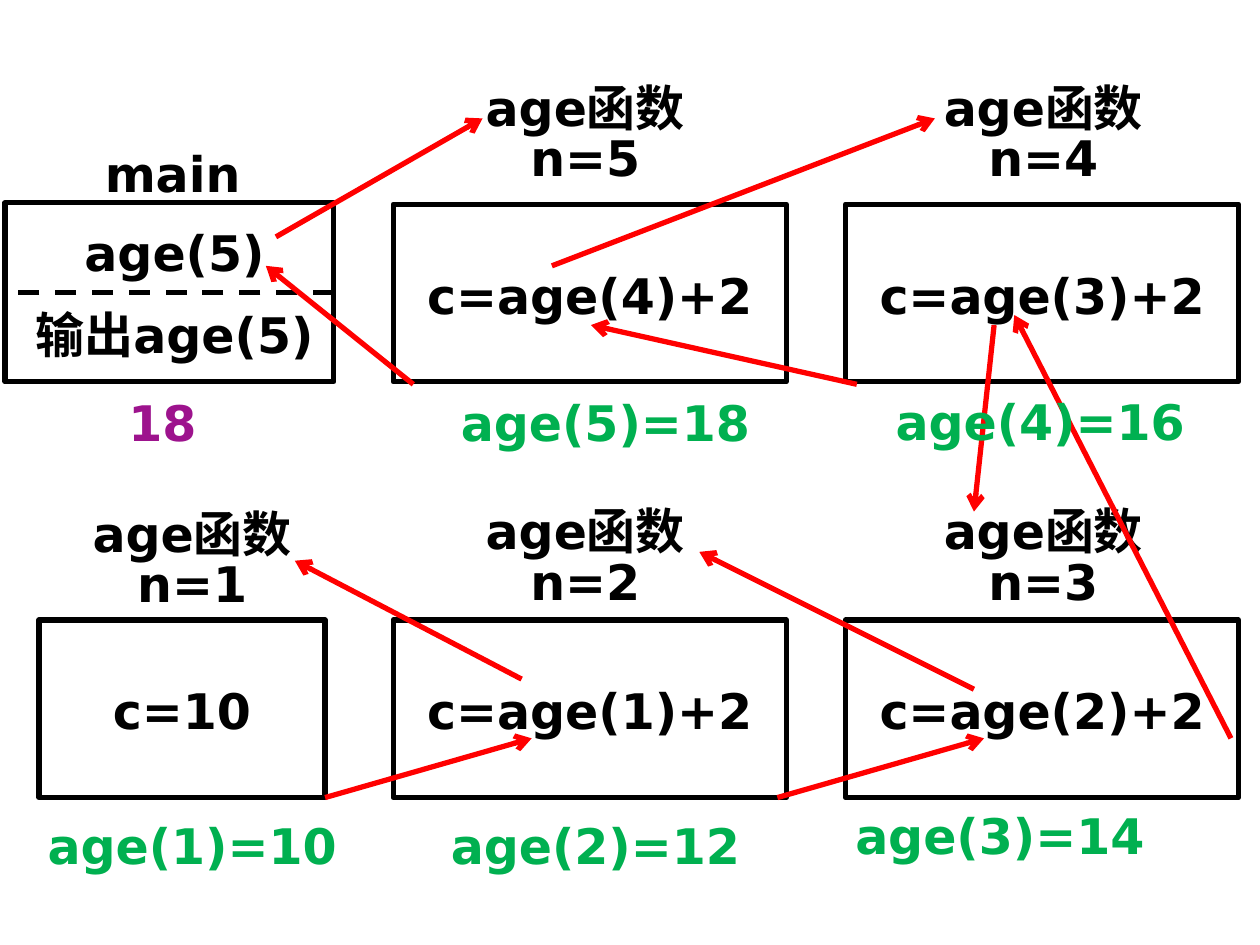
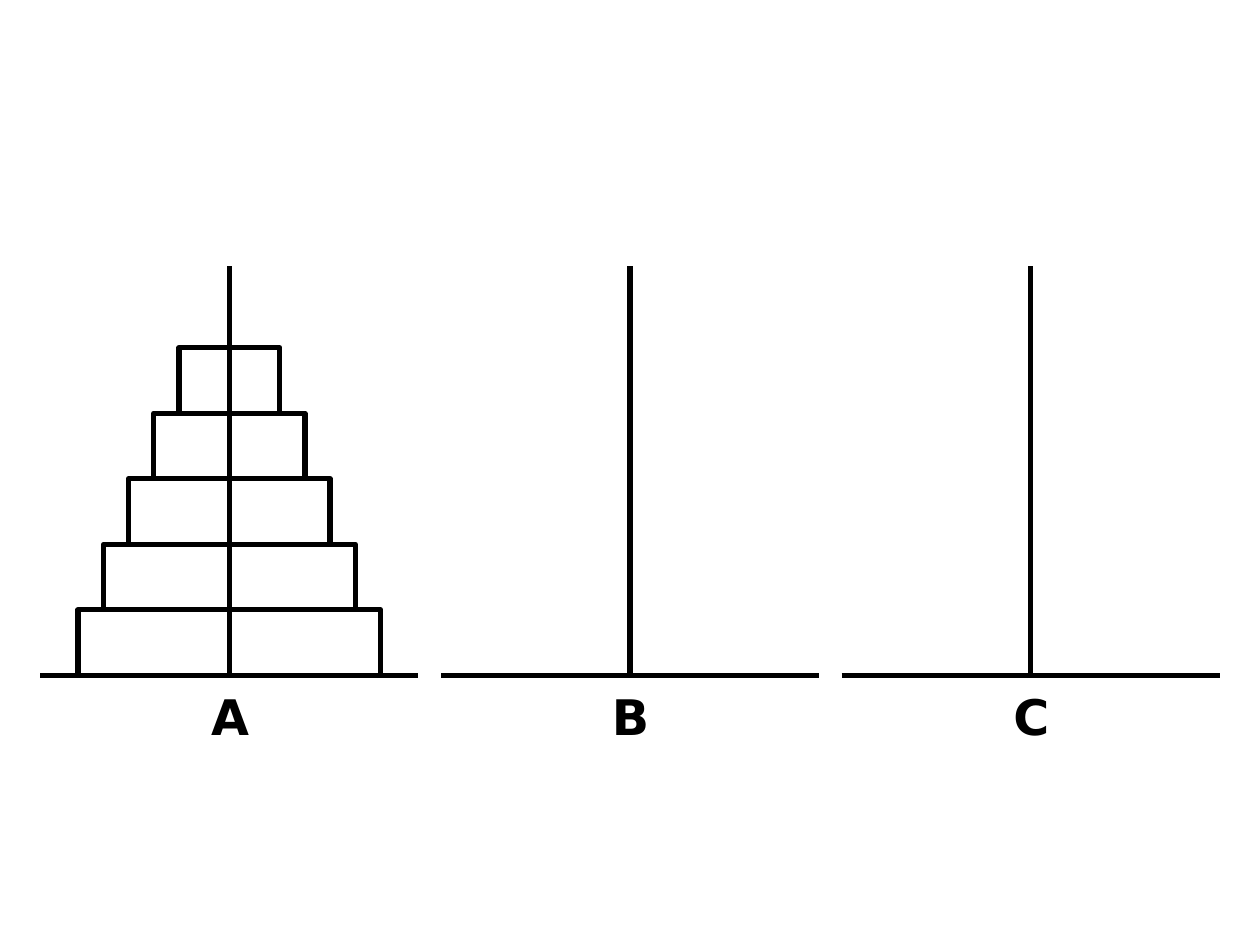
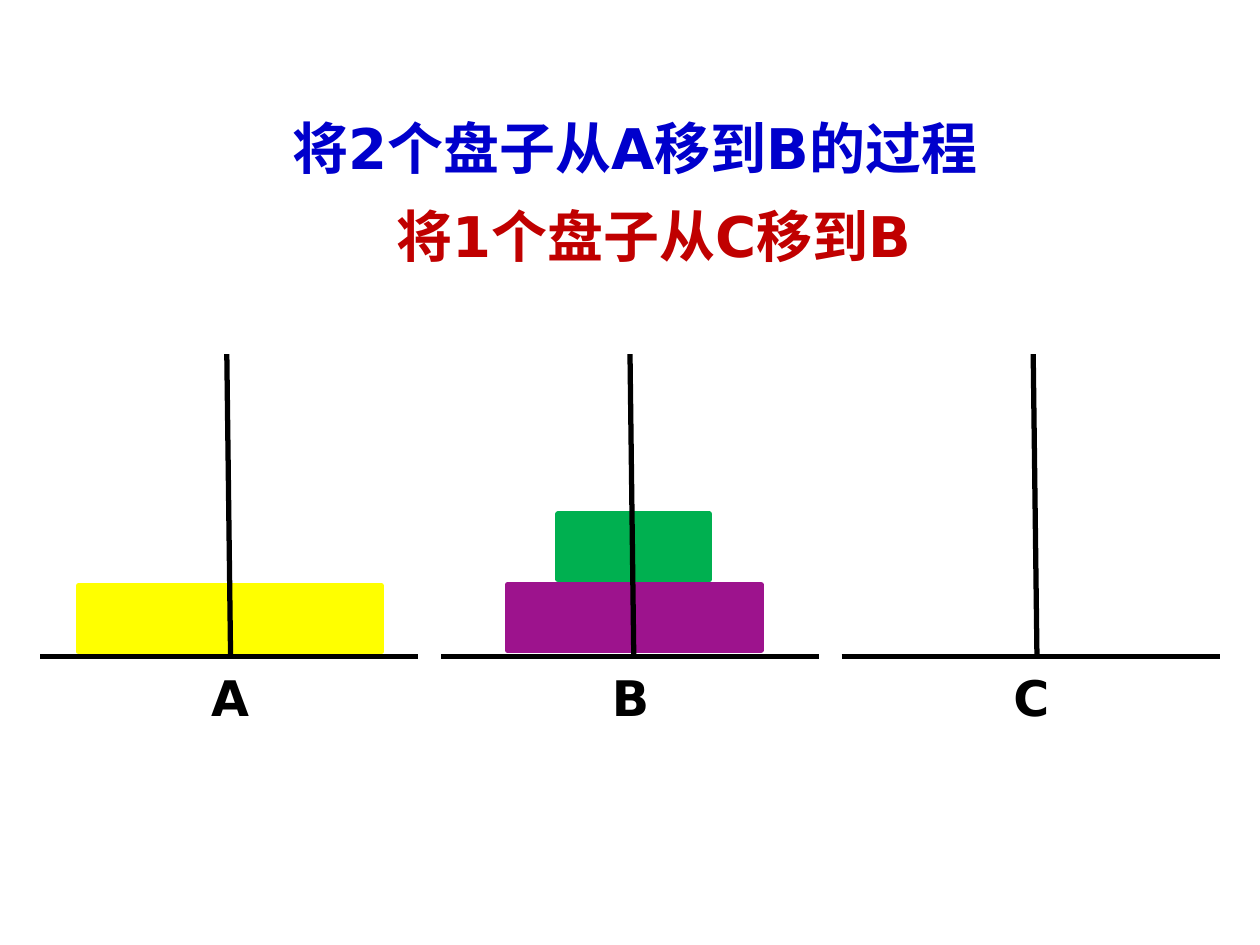
from pptx import Presentation
from pptx.dml.color import RGBColor
from pptx.enum.dml import MSO_LINE
from pptx.enum.shapes import MSO_CONNECTOR, MSO_SHAPE
from pptx.enum.text import MSO_ANCHOR, PP_ALIGN
from pptx.oxml.ns import qn
from pptx.util import Pt
from lxml import etree

RECT = MSO_SHAPE.RECTANGLE
DISC = MSO_SHAPE.FLOWCHART_PROCESS
LINE = MSO_CONNECTOR.STRAIGHT
DASH = MSO_LINE.DASH
TOP = MSO_ANCHOR.TOP
MID = PP_ALIGN.CENTER
BOTTOM, RIGHT = 2, 3
SCALE = 9144
FONT = "DejaVu Sans"
TIGHT = Pt(24)
LOOSE = 1.2
GAPS = {TIGHT: Pt(4.8), LOOSE: Pt(6.5)}
HUES = {
    "black": "000000", "red": "FF0000", "green": "00B050", "plum": "9D138D",
    "gold": "FFFF00", "blue": "0000CC", "brick": "C00000",
}
PEGS = {"A": 182, "B": 500, "C": 818}


def px(size):
    return round(size * SCALE)


def hue(name):
    return RGBColor.from_string(HUES[name])


class Deck:
    def __init__(self):
        self.file = Presentation()
        self.file.slide_width = px(1000)
        self.file.slide_height = px(750)
        self.slide = None

    def page(self):
        self.slide = self.file.slides.add_slide(self.file.slide_layouts[6])

    def label(self, shape, lines, color="black", size=28, lead=TIGHT, top=5):
        frame = shape.text_frame
        frame.word_wrap = True
        frame.vertical_anchor = TOP
        frame.margin_left = frame.margin_right = px(10)
        frame.margin_top, frame.margin_bottom = px(top), px(5)
        for i, line in enumerate(lines):
            para = frame.add_paragraph() if i else frame.paragraphs[0]
            para.alignment = MID
            para.line_spacing = lead
            para.space_before = GAPS[lead]
            run = para.add_run()
            run.text = line
            run.font.name = FONT
            run.font.size = Pt(size)
            run.font.bold = True
            run.font.color.rgb = hue(color)

    def text(self, x, y, w, h, *lines, **style):
        box = self.slide.shapes.add_textbox(px(x), px(y), px(w), px(h))
        self.label(box, lines, **style)

    def box(self, x, y, w, h, kind=RECT, fill=None):
        shape = self.slide.shapes.add_shape(kind, px(x), px(y), px(w), px(h))
        shape.shadow.inherit = False
        if fill:
            shape.fill.solid()
            shape.fill.fore_color.rgb = hue(fill)
        else:
            shape.fill.background()
        shape.line.color.rgb = hue(fill or "black")
        shape.line.width = Pt(3)
        return shape

    def line(self, x1, y1, x2, y2, color="black"):
        link = self.slide.shapes.add_connector(LINE, px(x1), px(y1), px(x2), px(y2))
        link.line.color.rgb = hue(color)
        link.line.width = Pt(3)
        etree.SubElement(link._element.spPr, qn("a:effectLst"))
        return link

    def arrow(self, *ends):
        link = self.line(*ends, color="red")
        tip = etree.SubElement(link._element.spPr.find(qn("a:ln")), qn("a:tailEnd"))
        tip.set("type", "arrow")

    def base(self, name, y):
        mid = PEGS[name]
        self.line(mid - 150, y, mid + 150, y)
        self.text(mid - 38, y + 17, 77, 49, name)


def calls(deck):
    deck.page()
    main = deck.box(4, 161, 261, 142)
    deck.text(8, 162, 261, 142, "age(5)", "输出age(5)", lead=LOOSE)
    deck.text(55, 100, 164, 70, "main", lead=LOOSE)
    rule = deck.line(265, 232, 8, 232)
    rule.begin_connect(main, RIGHT)
    rule.line.dash_style = DASH

    steps = [
        (5, "c=age(4)+2", (312, 162, 312), (312, 70, 305)),
        (4, "c=age(3)+2", (671, 162, 312), (672, 70, 312)),
        (2, "c=age(1)+2", (312, 492, 312), (312, 406, 305)),
        (3, "c=age(2)+2", (671, 492, 312), (672, 406, 312)),
        (1, "c=10", (31, 492, 227), (0, 408, 305)),
    ]
    for n, code, frame, head in steps:
        deck.label(deck.box(*frame, 141), [code], lead=LOOSE, top=39)
        deck.text(*head, 92, "age函数", f"n={n}")

    for ends in [
        (219, 188, 383, 94), (438, 211, 742, 94), (789, 258, 773, 406),
        (773, 547, 555, 438), (414, 539, 234, 445), (258, 633, 422, 586),
        (617, 633, 781, 586), (977, 586, 805, 250), (680, 305, 469, 258),
        (328, 305, 211, 211),
    ]:
        deck.arrow(*ends)

    spots = [(0, 656), (320, 656), (641, 648), (673, 319), (328, 320)]
    for n, (x, y) in enumerate(spots, 1):
        deck.text(x, y, 305, 62, f"age({n})={8 + 2 * n}", color="green")
    deck.text(39, 320, 180, 47, "18", color="plum")


def tower(deck):
    deck.page()
    floor = 536
    discs = []
    for i in range(5):
        half = 120 - 20 * i
        top = floor - 52 * (i + 1)
        discs.append(deck.box(PEGS["A"] - half, top, 2 * half, 52, DISC))
    for name, mid in PEGS.items():
        deck.base(name, floor)
        pole = deck.line(mid, floor, mid, 211)
        if name == "A":
            pole.begin_connect(discs[0], BOTTOM)


def move(deck):
    deck.page()
    floor = 521
    for name in PEGS:
        deck.base(name, floor)
    for x, y, w, fill in [
        (62, 465, 241, "gold"), (403, 464, 201, "plum"), (443, 408, 120, "green"),
    ]:
        deck.box(x, y, w, 52, DISC, fill)
    for x in range(180, 821, 320):
        deck.line(x + 3, floor, x, 281)
    deck.text(172, 86, 664, 70, "将2个盘子从A移到B的过程", color="blue", size=32, top=24)
    deck.text(273, 156, 492, 70, "将1个盘子从C移到B", color="brick", size=32, top=24)


def main():
    deck = Deck()
    calls(deck)
    tower(deck)
    move(deck)
    deck.file.save("out.pptx")


if __name__ == "__main__":
    main()
